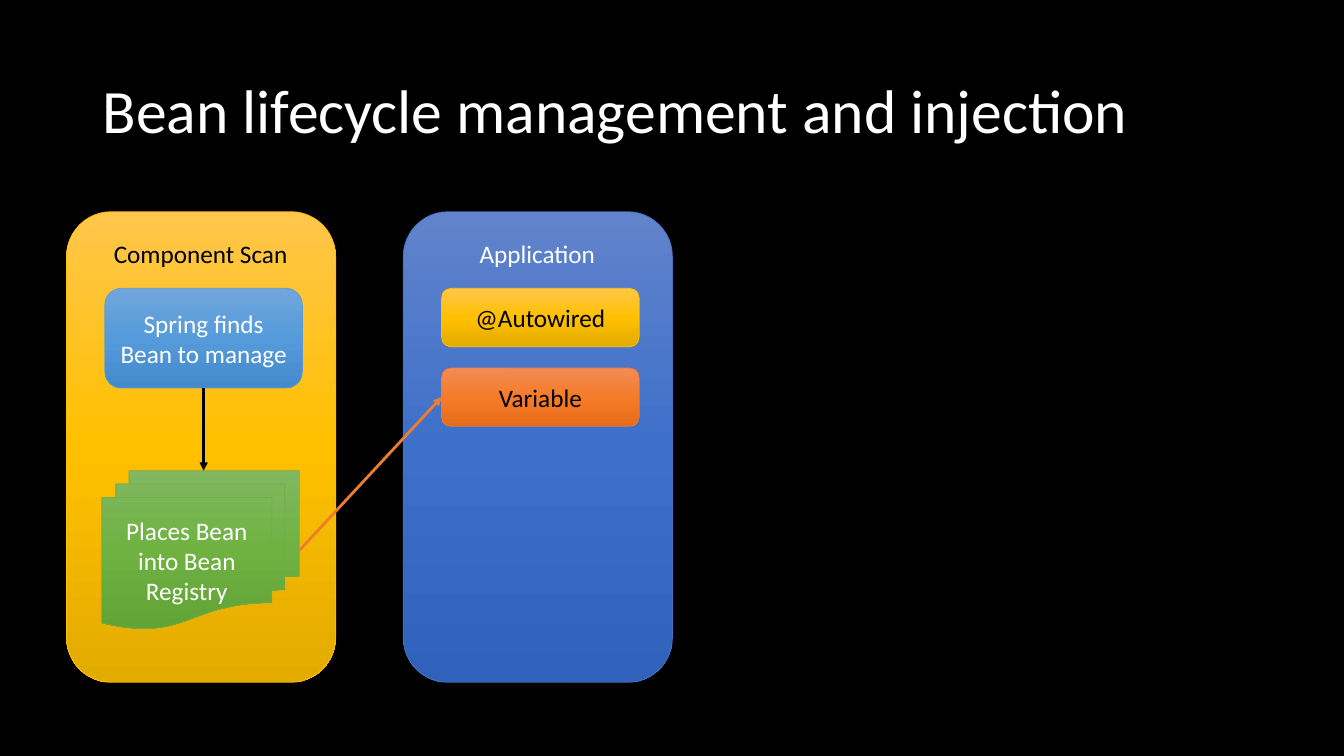
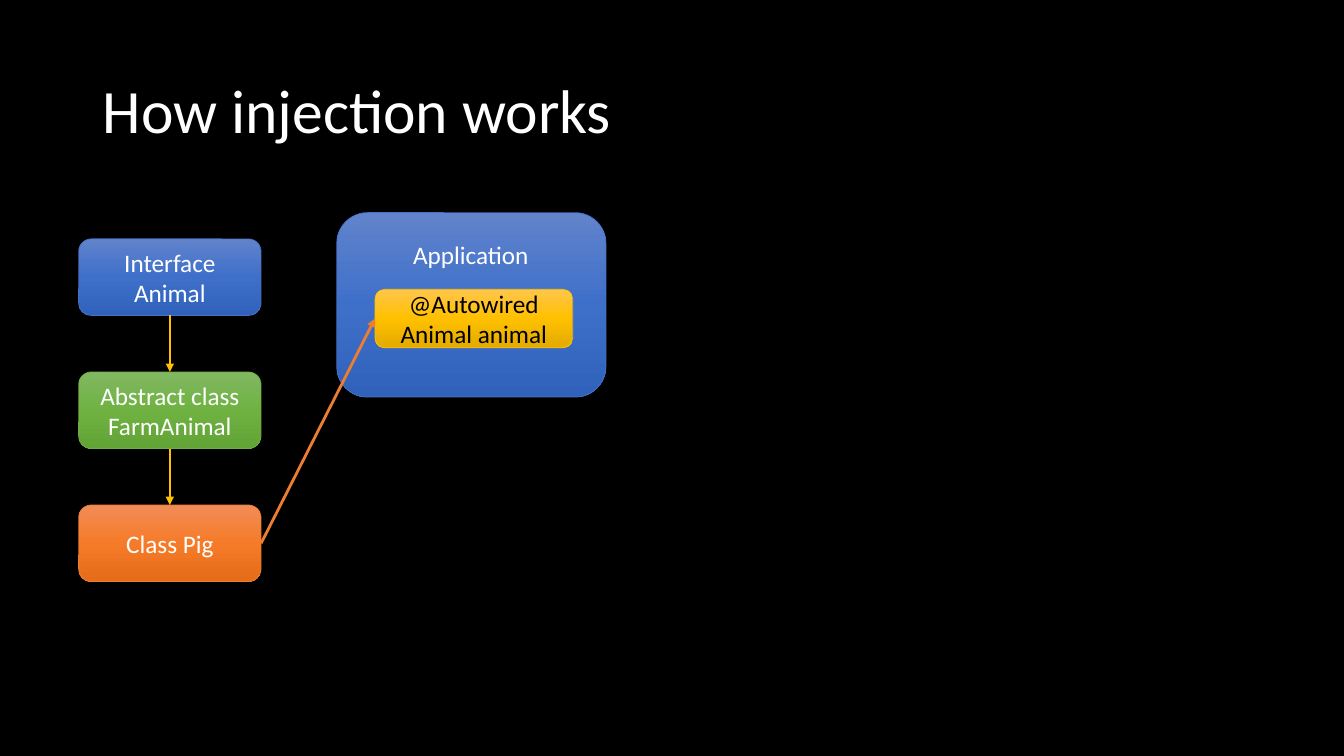
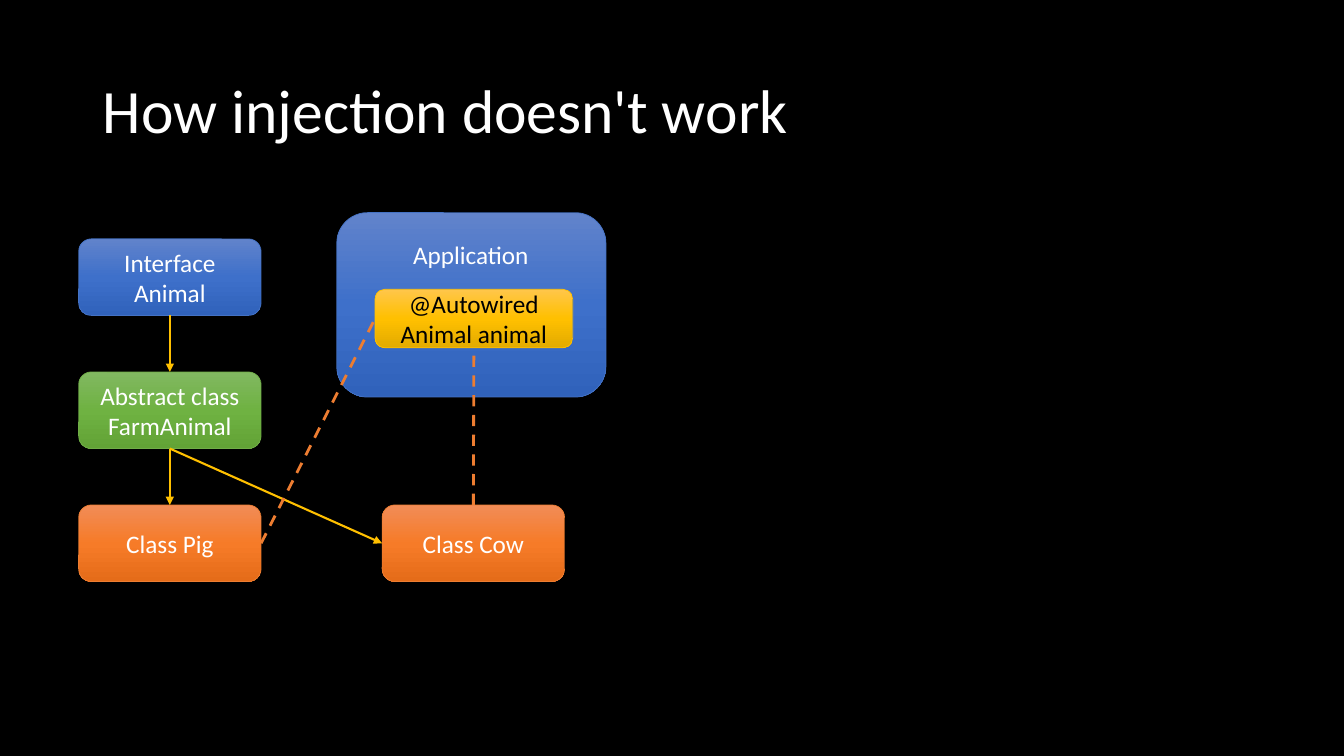
"""Build three slides on Spring bean lifecycle and injection."""
from copy import deepcopy

from lxml import etree
from pptx import Presentation
from pptx.dml.color import RGBColor
from pptx.enum.dml import MSO_LINE
from pptx.enum.shapes import MSO_CONNECTOR, MSO_SHAPE
from pptx.enum.text import MSO_ANCHOR, PP_ALIGN
from pptx.oxml.ns import qn
from pptx.util import Inches, Pt

ROUNDED = MSO_SHAPE.ROUNDED_RECTANGLE
DOCUMENTS = MSO_SHAPE.FLOWCHART_MULTIDOCUMENT
STRAIGHT = MSO_CONNECTOR.STRAIGHT
DASH = MSO_LINE.DASH
MIDDLE = MSO_ANCHOR.MIDDLE
CENTER = PP_ALIGN.CENTER
LEFT = PP_ALIGN.LEFT

BLACK = RGBColor(0x00, 0x00, 0x00)
WHITE = RGBColor(0xFF, 0xFF, 0xFF)
GOLD_EDGE = RGBColor(0xFF, 0xC0, 0x00)
ORANGE_EDGE = RGBColor(0xED, 0x7D, 0x31)
GOLD = (RGBColor(0xFF, 0xC6, 0x4B), GOLD_EDGE, RGBColor(0xE3, 0xAB, 0x00), GOLD_EDGE)
BLUE = (RGBColor(0x61, 0x83, 0xCB), RGBColor(0x3E, 0x70, 0xCA),
        RGBColor(0x30, 0x62, 0xBB), RGBColor(0x44, 0x72, 0xC4))
SKY = (RGBColor(0x71, 0xA6, 0xDB), RGBColor(0x55, 0x9B, 0xDB),
       RGBColor(0x44, 0x8A, 0xCA), RGBColor(0x5B, 0x9B, 0xD5))
GREEN = (RGBColor(0x81, 0xB8, 0x61), RGBColor(0x6F, 0xB2, 0x42),
         RGBColor(0x62, 0xA3, 0x36), RGBColor(0x70, 0xAD, 0x47))
ORANGE = (RGBColor(0xF1, 0x8C, 0x57), RGBColor(0xF6, 0x7B, 0x28),
          RGBColor(0xE5, 0x6C, 0x19), ORANGE_EDGE)

TOP, SIDE_LEFT, BOTTOM, SIDE_RIGHT = range(4)
PANEL_WIDTH, SLOT_WIDTH, SLOT_HEIGHT = 2.67, 1.96, 0.58
SLOT_INSET, SLOT_DROP = 0.38, 0.76
CLASS_LEFT, CLASS_TOP, CLASS_STEP = 0.78, 2.37, 1.32
CLASS_WIDTH, CLASS_HEIGHT = 1.81, 0.76


def write(shape, text, color, size=18, align=CENTER):
    frame = shape.text_frame
    frame.word_wrap = True
    frame.text = text
    font_format = {"name": "Calibri", "size": Pt(size)}
    for paragraph in frame.paragraphs:
        paragraph.alignment = align
        for attribute, value in font_format.items():
            setattr(paragraph.font, attribute, value)
        paragraph.font.color.rgb = color


def add_box(slide, preset, place, palette):
    box = slide.shapes.add_shape(preset, *map(Inches, place))
    box.shadow.inherit = False
    box.fill.gradient()
    box.fill.gradient_angle = 270
    stop_list = box._element.spPr.find(".//" + qn("a:gsLst"))
    stop_list.insert(1, deepcopy(stop_list[0]))
    for stop, position, color in zip(box.fill.gradient_stops, (0, 0.5, 1), palette):
        stop.position = position
        stop.color.rgb = color
    box.line.color.rgb = palette[-1]
    box.line.width = Pt(0.5)
    return box


scan_left, app_left, panel_top = 0.66, 4, 2.1
slot_top = panel_top + SLOT_DROP
slot_left = app_left + SLOT_INSET
lifecycle_panels = [
    ("Component Scan", scan_left, panel_top, 4.67, GOLD, BLACK),
    ("Application", app_left, panel_top, 4.67, BLUE, WHITE),
]
lifecycle_boxes = [
    ("Spring finds Bean to manage", ROUNDED,
     (scan_left + SLOT_INSET, slot_top, SLOT_WIDTH, 0.99), SKY, WHITE),
    ("Places Bean into Bean Registry", DOCUMENTS, (1.01, 4.67, SLOT_WIDTH, 1.57), GREEN, WHITE),
    ("@Autowired", ROUNDED, (slot_left, slot_top, SLOT_WIDTH, SLOT_HEIGHT), GOLD, BLACK),
    ("Variable", ROUNDED, (slot_left, slot_top + 0.79, SLOT_WIDTH, SLOT_HEIGHT), ORANGE, BLACK),
]
lifecycle_links = [
    (("Spring finds Bean to manage", BOTTOM), (2.02, 4.67), BLACK, 2, False),
    ((2.97, 5.46), ("Variable", SIDE_LEFT), ORANGE_EDGE, 2, False),
]

injection_panels = [("Application", 3.34, 2.11, 1.83, BLUE, WHITE)]
target = "@Autowired\nAnimal animal"
hierarchy = [("Interface Animal", BLUE), ("Abstract class FarmAnimal", GREEN), ("Class Pig", ORANGE)]
injection_boxes = [
    (name, ROUNDED, (CLASS_LEFT, CLASS_TOP + level * CLASS_STEP, CLASS_WIDTH, CLASS_HEIGHT),
     palette, WHITE)
    for level, (name, palette) in enumerate(hierarchy)
]
injection_boxes.append(
    (target, ROUNDED, (3.34 + SLOT_INSET, 2.11 + SLOT_DROP, SLOT_WIDTH, SLOT_HEIGHT), GOLD, BLACK))
inheritance_links = [
    ((parent, BOTTOM), (child, TOP), GOLD_EDGE, 1.5, False)
    for (parent, _), (child, _) in zip(hierarchy, hierarchy[1:])
]
pig_to_target = (("Class Pig", SIDE_RIGHT), (target, SIDE_LEFT), ORANGE_EDGE, 2)
cow_box = ("Class Cow", ROUNDED,
           (3.79, CLASS_TOP + 2 * CLASS_STEP, CLASS_WIDTH, CLASS_HEIGHT), ORANGE, WHITE)
ambiguous_links = [
    (("Abstract class FarmAnimal", BOTTOM), ("Class Cow", SIDE_LEFT), GOLD_EDGE, 1.5, False),
    (*pig_to_target, True),
    (("Class Cow", TOP), (target, BOTTOM), ORANGE_EDGE, 2, True),
]

slide_plans = [
    ("Bean lifecycle management and injection",
     lifecycle_panels, lifecycle_boxes, lifecycle_links),
    ("How injection works",
     injection_panels, injection_boxes, [(*pig_to_target, False)] + inheritance_links),
    ("How injection doesn't work",
     injection_panels, injection_boxes + [cow_box], inheritance_links + ambiguous_links),
]

presentation = Presentation()
presentation.slide_width = Inches(13.33)
presentation.slide_height = Inches(7.5)
backdrop = presentation.slide_master.background.fill
backdrop.solid()
backdrop.fore_color.rgb = BLACK

for heading, panels, boxes, links in slide_plans:
    slide = presentation.slides.add_slide(presentation.slide_layouts[6])
    title = slide.shapes.add_textbox(Inches(0.92), Inches(0.4), Inches(11.5), Inches(1.45))
    write(title, heading, WHITE, 44, LEFT)
    title.text_frame.vertical_anchor = MIDDLE
    title.text_frame.paragraphs[0].line_spacing = 0.9

    for caption, left, top, height, palette, color in panels:
        add_box(slide, ROUNDED, (left, top, PANEL_WIDTH, height), palette)
        label = slide.shapes.add_textbox(
            Inches(left + 0.33), Inches(top + 0.22), Inches(2), Inches(0.4))
        write(label, caption, color)

    placed = {}
    for text, preset, place, palette, color in boxes:
        placed[text] = add_box(slide, preset, place, palette)
        write(placed[text], text, color)
        placed[text].text_frame.vertical_anchor = MIDDLE

    for start, finish, color, width, dashed in links:
        corners = [Inches(0) if isinstance(end[0], str) else Inches(value)
                   for end in (start, finish) for value in end]
        link = slide.shapes.add_connector(STRAIGHT, *corners)
        for end, connect in ((start, link.begin_connect), (finish, link.end_connect)):
            if isinstance(end[0], str):
                connect(placed[end[0]], end[1])
        link.line.color.rgb = color
        link.line.width = Pt(width)
        properties = link._element.spPr
        if dashed:
            link.line.dash_style = DASH
        else:
            etree.SubElement(properties.find(qn("a:ln")), qn("a:tailEnd"), type="triangle")
        etree.SubElement(properties, qn("a:effectLst"))

presentation.save("out.pptx")
